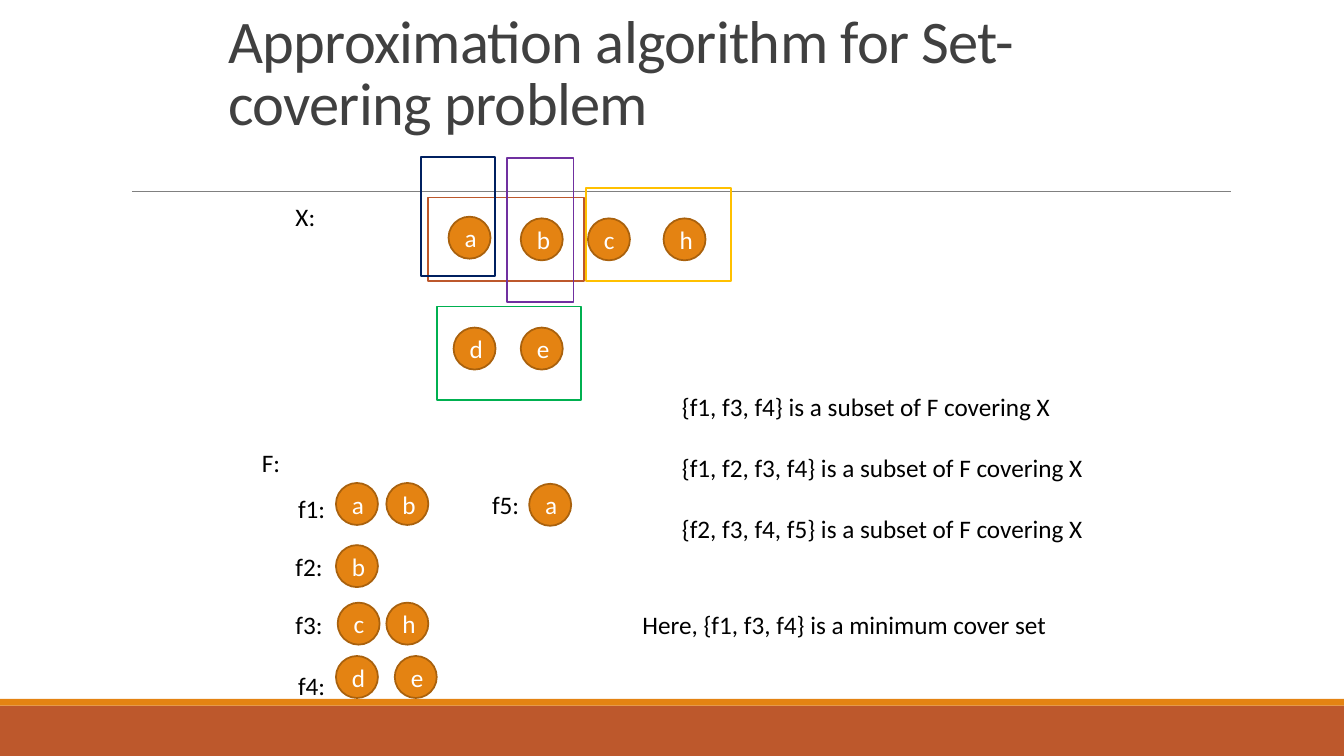
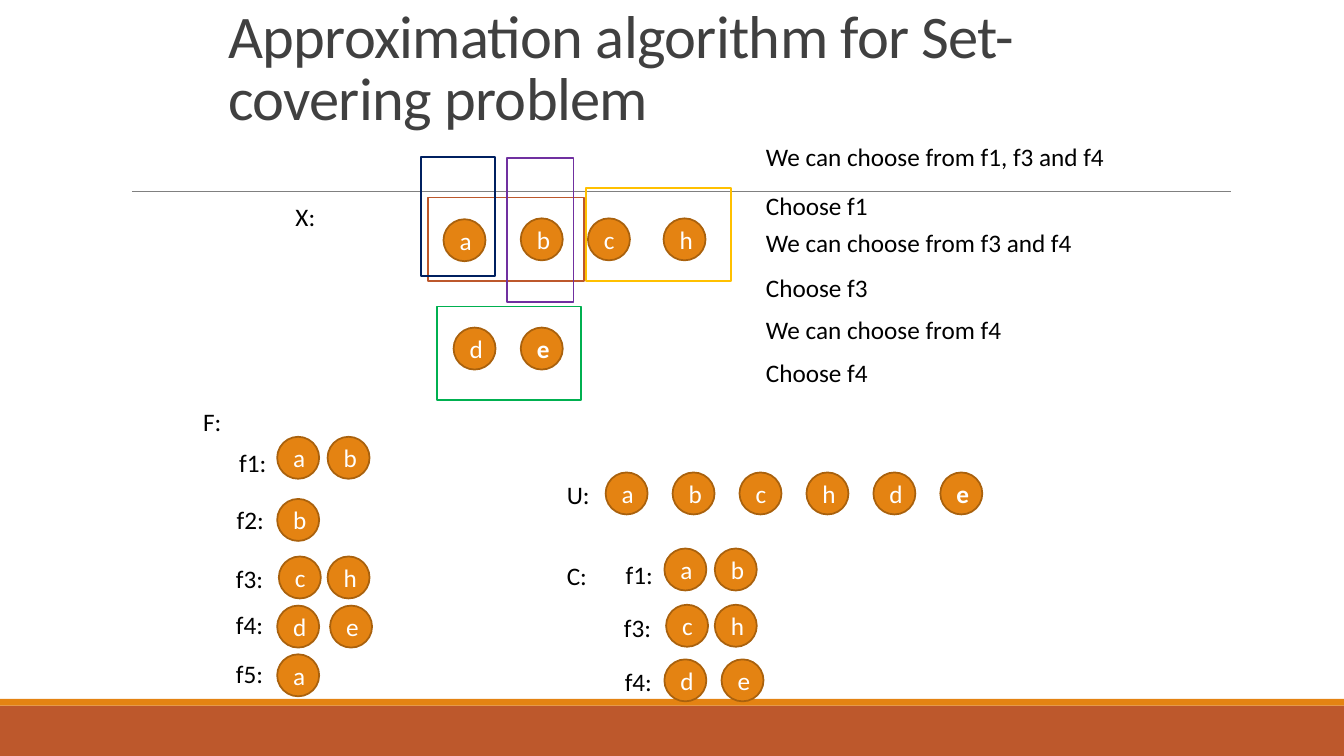
from pptx import Presentation, util as u
from pptx.dml.color import RGBColor
from pptx.enum import shapes, text
from pptx.oxml import parse_xml
from pptx.oxml.ns import nsdecls

COLORS = {
    "rust": "BD582C", "orange": "E48312", "ring": "A9610D", "rule": "808080",
    "title": "404040", "ink": "000000", "white": "FFFFFF", "purple": "7030A0",
    "gold": "FFC000", "green": "00B050", "navy": "002060",
}
FORMATS = {
    "title": {"size": u.Pt(43.2), "name": "Calibri", "color": "title"},
    "body": {"size": u.Pt(18), "name": "Calibri", "color": "ink"},
    "ball": {"size": u.Pt(18), "name": "Calibri", "color": "white"},
}
COLS, ROWS = 160, 90  # twelfths of an inch
BALL, LABEL_W, LINE_H = 5, 7, 4.85
TITLE = "Approximation algorithm for Set-covering problem"


def rgb(name):
    return RGBColor.from_string(COLORS[name])


class Deck:
    """Holds the style and the current slide; lengths are grid columns and rows."""

    def __init__(self):
        self.prs = Presentation()
        self.prs.slide_width, self.prs.slide_height = u.Inches(13.333), u.Inches(7.5)
        self.s = None

    def x(self, cols):
        return round(self.prs.slide_width * cols / COLS)

    def y(self, rows):
        return round(self.prs.slide_height * rows / ROWS)

    def frame(self, x, y, w, h):
        return self.x(x), self.y(y), self.x(w), self.y(h)

    def new_slide(self, title_y):
        self.s = self.prs.slides.add_slide(self.prs.slide_layouts[6])
        # Footer bands
        self.shape("RECTANGLE", (0, 84, COLS, 6), fill="rust")
        self.shape("RECTANGLE", (0, 83.2, COLS, 0.8), fill="orange")
        # Rule under the title
        cx = self.s.shapes.add_connector(
            shapes.MSO_CONNECTOR.STRAIGHT,
            self.x(15.7), self.y(22.8), self.x(146.5), self.y(22.8))
        cx.line.color.rgb, cx.line.width = rgb("rule"), u.Pt(0.5)
        cx._element.spPr.append(parse_xml(f"<a:effectLst {nsdecls('a')}/>"))
        # Title
        tf = self.s.shapes.add_textbox(*self.frame(26, title_y, 108, 15)).text_frame
        tf.word_wrap, tf.vertical_anchor = True, text.MSO_ANCHOR.BOTTOM
        tf.paragraphs[0].line_spacing = 0.85
        r = self.add_text(tf, TITLE, "title")
        r.font._element.set("spc", "-50")

    def add_text(self, tf, words, style, bold=None):
        r = tf.paragraphs[0].add_run()
        r.text, r.font.bold = words, bold
        for key, value in FORMATS[style].items():
            if key == "color":
                r.font.color.rgb = rgb(value)
            else:
                setattr(r.font, key, value)
        return r

    def shape(self, kind, box, fill=None, line=None):
        sp = self.s.shapes.add_shape(
            getattr(shapes.MSO_SHAPE, kind), *self.frame(*box))
        sp.shadow.inherit = False
        if fill:
            sp.fill.solid()
            sp.fill.fore_color.rgb = rgb(fill)
        else:
            sp.fill.background()
        if line:
            sp.line.color.rgb, sp.line.width = rgb(line), u.Pt(1.25)
        else:
            sp.line.fill.background()
        return sp

    def label(self, words, x, y, w=LABEL_W):
        tf = self.s.shapes.add_textbox(*self.frame(x, y, w, LINE_H)).text_frame
        tf.word_wrap, tf.auto_size = True, text.MSO_AUTO_SIZE.SHAPE_TO_FIT_TEXT
        self.add_text(tf, words, "body")

    def balls(self, letters, x, y, gap=6, bold=""):
        for i, letter in enumerate(letters):
            sp = self.shape("OVAL", (x + i * gap, y, BALL, BALL), "orange", "ring")
            tf = sp.text_frame
            tf.vertical_anchor = text.MSO_ANCHOR.MIDDLE
            tf.paragraphs[0].alignment = text.PP_ALIGN.CENTER
            self.add_text(tf, letter, "ball", bold=letter in bold or None)

    def families(self, rows):
        for name, label_x, label_y, letters, x, y, gap in rows:
            self.label(name, label_x, label_y)
            self.balls(letters, x, y, gap)

    def universe(self, a_x, a_y, bold=""):
        """The set X with one outline for each family."""
        self.label("X:", 34, 23.4)
        self.balls("a", a_x, a_y)
        self.balls("b", 62, 26)
        self.balls("ch", 70, 26, gap=9)
        self.balls("de", 54, 39, gap=8, bold=bold)
        for color, box in (
            ("rust", (51, 23.5, 18.5, 10)),
            ("purple", (60.4, 18.8, 7.9, 17.2)),
            ("gold", (69.8, 22.35, 17.2, 11.1)),
            ("green", (52, 36.5, 17.2, 11.1)),
            ("navy", (50.15, 18.7, 8.8, 14.2)),
        ):
            self.shape("RECTANGLE", box, line=color)


def cover_examples(d):
    d.new_slide(title_y=2)
    d.universe(53.4, 25.8)
    # Families of F
    d.label("F:", 30, 52.6)
    d.families([
        ("f1:", 34.3, 58.1, "ab", 40, 57.5, 6),
        ("f2:", 34, 65, "b", 40, 64.9, 6),
        ("f3:", 34, 72, "ch", 40.2, 71.75, 5.8),
        ("f4:", 34.3, 79.2, "de", 40, 78.1, 7),
        ("f5:", 57.4, 57.6, "a", 63, 57.6, 6),
    ])
    # Covers of X
    for i, cover in enumerate(("{f1, f3, f4}", "{f1, f2, f3, f4}", "{f2, f3, f4, f5}")):
        d.label(f"{cover} is a subset of F covering X", 80, 46 + i * 7.26, 54)
    d.label("Here, {f1, f3, f4} is a minimum cover set", 75.3, 72, 56)


def greedy_steps(d):
    d.new_slide(title_y=1.4)
    d.universe(52.8, 26.1, bold="e")
    # Families of F
    d.label("F:", 23, 47.8)
    d.families([
        ("f1:", 27.3, 52.6, "ab", 33, 52, 6),
        ("f2:", 27, 59.5, "b", 33, 59.4, 6),
        ("f3:", 26.9, 66.5, "ch", 33.2, 66.25, 5.8),
        ("f4:", 26.9, 71.9, "de", 33, 72.1, 6.3),
        ("f5:", 26.9, 77.8, "a", 33, 77.9, 6),
    ])
    # Uncovered elements U and chosen families C
    d.label("U:", 66.3, 56.5)
    d.balls("abchde", 72.1, 56.25, gap=7.97, bold="e")
    d.label("C:", 66.3, 66.1)
    d.families([
        ("f1:", 73.3, 66, "ab", 79.1, 65.3, 6),
        ("f3:", 73.1, 72.3, "ch", 79.3, 72, 5.8),
        ("f4:", 73.2, 78.7, "de", 79.1, 78.5, 6.8),
    ])
    # Steps of the choice
    for words, y in (
        ("We can choose from f1, f3 and f4", 16.2),
        ("Choose f1", 22.1),
        ("We can choose from f3 and f4", 26.5),
        ("Choose f3", 31.8),
        ("We can choose from f4", 36.8),
        ("Choose f4", 42),
    ):
        d.label(words, 90, y, 50)


def main():
    d = Deck()
    cover_examples(d)
    greedy_steps(d)
    d.prs.save("out.pptx")


if __name__ == "__main__":
    main()
